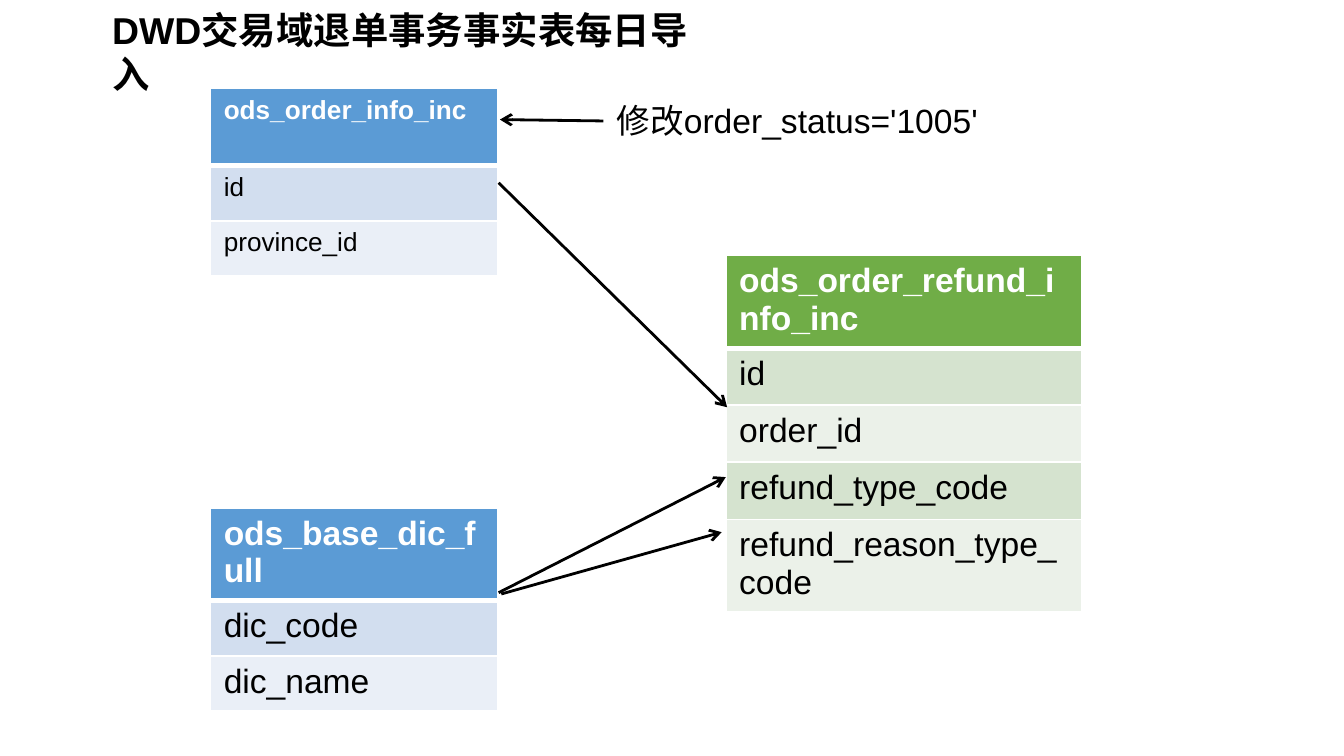
from lxml.etree import SubElement
from pptx import Presentation
from pptx.dml.color import RGBColor
from pptx.enum.shapes import MSO_CONNECTOR
from pptx.enum.text import MSO_ANCHOR, MSO_AUTO_SIZE, PP_ALIGN
from pptx.oxml.ns import qn
from pptx.util import Emu, Pt

PX = 4572  # 200 px to the inch
FONT = "Arial"
COLORS = {
    "ink": "000000",
    "white": "FFFFFF",
    "blue": "5B9BD5",
    "blue_dark": "D2DEEF",
    "blue_light": "EAEFF7",
    "green": "70AD47",
    "green_dark": "D5E3CF",
    "green_light": "EBF1E9",
}


def px(*lengths):
    return [Emu(length * PX) for length in lengths]


def rgb(name):
    return RGBColor.from_string(COLORS[name])


def write(frame, text, size=18, color="ink", bold=False):
    frame.word_wrap = True
    paragraph = frame.paragraphs[0]
    paragraph.alignment = PP_ALIGN.LEFT
    run = paragraph.add_run()
    run.text = text
    font = run.font
    font.name, font.size, font.bold = FONT, Pt(size), bold
    font.color.rgb = rgb(color)


def add_title(slide, box, text):
    title = slide.shapes.title
    title.left, title.top, title.width, title.height = px(*box)
    frame = title.text_frame
    frame.auto_size = MSO_AUTO_SIZE.NONE
    frame.vertical_anchor = MSO_ANCHOR.TOP
    write(frame, text, size=20, bold=True)


def add_note(slide, box, text):
    note = slide.shapes.add_textbox(*px(*box))
    write(note.text_frame, text)


def add_borders(cell, bottom):
    properties = cell._tc.get_or_add_tcPr()
    for side, width in (("lnL", 1), ("lnR", 1), ("lnT", 1), ("lnB", bottom)):
        line = SubElement(properties, qn(f"a:{side}"), w=str(Pt(width)))
        fill = SubElement(line, qn("a:solidFill"))
        SubElement(fill, qn("a:srgbClr"), val=COLORS["white"])


def add_source_table(slide, box, heights, names, hue, size=18):
    """Table name on top, its fields in alternating bands below."""
    left, top, width = box
    frame = slide.shapes.add_table(
        len(names), 1, *px(left, top, width, sum(heights)))
    table = frame.table
    table.horz_banding = False
    for index, (name, height) in enumerate(zip(names, heights)):
        header = index == 0
        band = hue if header else f"{hue}_{'dark' if index % 2 else 'light'}"
        table.rows[index].height = px(height)[0]
        cell = table.cell(index, 0)
        cell.margin_bottom = px(16)[0]
        add_borders(cell, bottom=3 if header else 1)
        cell.fill.solid()
        cell.fill.fore_color.rgb = rgb(band)
        write(cell.text_frame, name, size=size, bold=header,
              color="white" if header else "ink")


def add_arrow(slide, start, end):
    arrow = slide.shapes.add_connector(
        MSO_CONNECTOR.STRAIGHT, *px(*start, *end))
    arrow.line.color.rgb = rgb("ink")
    arrow.line.width = Pt(1.5)
    SubElement(arrow.line._get_or_add_ln(), qn("a:tailEnd"), type="arrow")
    SubElement(arrow._element.spPr, qn("a:effectLst"))


def main():
    deck = Presentation()
    deck.slide_width, deck.slide_height = px(2000, 1125)
    slide = deck.slides.add_slide(deck.slide_layouts[5])

    add_title(slide, (147, 0, 950, 88), "DWD交易域退单事务事实表每日导入")

    # Source tables
    add_source_table(slide, (313, 132, 428), (115, 82, 82),
                     ("ods_order_info_inc", "id", "province_id"),
                     "blue", size=14)
    add_source_table(slide, (313, 756, 428), (106, 72, 72),
                     ("ods_base_dic_full", "dic_code", "dic_name"), "blue")
    add_source_table(slide, (1080, 380, 530), (112, 85, 85, 85, 85),
                     ("ods_order_refund_info_inc", "id", "order_id",
                      "refund_type_code", "refund_reason_type_code"), "green")

    # Joins between the tables
    add_arrow(slide, (742, 272), (1082, 606))
    add_arrow(slide, (742, 882), (1080, 710))
    add_arrow(slide, (746, 884), (1074, 792))

    # Filter on the order table
    add_note(slide, (898, 139, 602, 80), "修改order_status='1005'")
    add_arrow(slide, (898, 180), (744, 178))

    deck.save("out.pptx")


if __name__ == "__main__":
    main()
